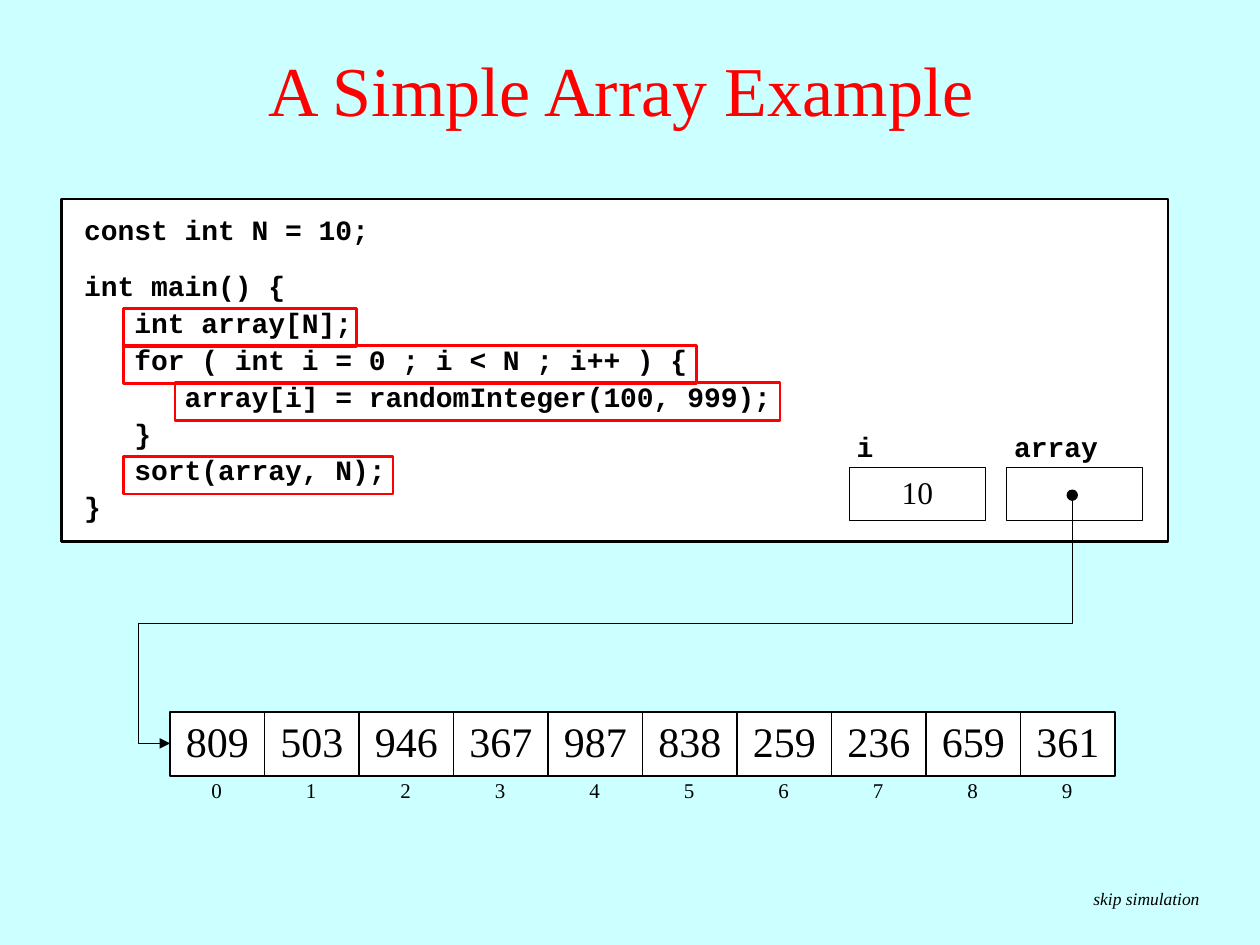
from pptx import Presentation
from pptx import util as u
from pptx.dml.color import RGBColor
from pptx.enum import shapes, text
from pptx.oxml import parse_xml
from pptx.oxml.ns import nsdecls, qn

HUES = {"sky": "CCFFFF", "red": "FF0000", "ink": "000000", "page": "FFFFFF"}
SERIF, MONO = "Times New Roman", "Courier New"
COLS, ROWS, WIDE, HIGH = 100, 75, u.Inches(10), u.Inches(7.5)
MID = text.PP_ALIGN.CENTER
RECT, OVAL = shapes.MSO_SHAPE.RECTANGLE, shapes.MSO_SHAPE.OVAL

CODE = """const int N = 10;
int main() {
   int array[N];
   for ( int i = 0 ; i < N ; i++ ) {
      array[i] = randomInteger(100, 999);
   }
   sort(array, N);
}""".split("\n")
MARKS = [(0, 4.9, 18.5), (1, 4.9, 45.5), (2, 9, 48), (4, 4.9, 21.4)]
DATA = [809, 503, 946, 367, 987, 838, 259, 236, 659, 361]


def hue(name):
    """Return the named colour."""
    return RGBColor.from_string(HUES[name])


def span(box, x, y, w, h):
    """Turn a grid part inside a box into slide lengths."""
    return (int((box[0] + x) * WIDE / COLS), int((box[1] + y) * HIGH / ROWS),
            int(w * WIDE / COLS), int(h * HIGH / ROWS))


def style(para, size, face=SERIF, tint="ink", form=None, **font):
    """Format a paragraph and its font."""
    for key, val in (form or {}).items():
        setattr(para, key, val)
    for key, val in {"size": u.Pt(size), "name": face, **font}.items():
        setattr(para.font, key, val)
    para.font.color.rgb = hue(tint)


def label(slide, area, lines, size, **form):
    """Add a text box with one paragraph per line."""
    frame = slide.shapes.add_textbox(*area).text_frame
    frame.word_wrap = True
    frame.auto_size = text.MSO_AUTO_SIZE.SHAPE_TO_FIT_TEXT
    frame.text = "\n".join(lines)
    for para in frame.paragraphs:
        style(para, size, **form)
    return frame


def block(slide, area, fill=None, line="ink", width=0.75, kind=RECT):
    """Add an outlined shape."""
    shape = slide.shapes.add_shape(kind, *area)
    shape.shadow.inherit = False
    if fill:
        shape.fill.solid()
        shape.fill.fore_color.rgb = hue(fill)
    else:
        shape.fill.background()
    shape.line.color.rgb = hue(line)
    shape.line.width = u.Pt(width)
    return shape


def cell(slide, area, value, size, fill=None):
    """Add a box that holds a centred value."""
    shape = block(slide, area, fill)
    shape.text_frame.text = str(value)
    style(shape.text_frame.paragraphs[0], size,
          form={"alignment": MID, "line_spacing": 0.9})


def heading(slide, box):
    """Place the slide title."""
    title = slide.shapes.title
    title.left, title.top, title.width, title.height = span(box, 0, 0, *box[2:])
    title.text_frame.text = "A Simple Array Example "
    title.text_frame.vertical_anchor = text.MSO_ANCHOR.MIDDLE
    style(title.text_frame.paragraphs[0], 40, tint="red", form={"alignment": MID})


def listing(slide, box):
    """Place the code panel and its marked lines."""
    block(slide, span(box, 0, 0, *box[2:]), "page", width=1.5)
    frame = label(slide, span(box, 0.8, 0.3, 87.1, 26), CODE, 16, face=MONO,
                  bold=True, form={"line_spacing": 1.1})
    frame.paragraphs[1].space_before = u.Pt(11)
    for row, x, w in MARKS:
        block(slide, span(box, x, 8.7 + 2.93 * row, w, 3), line="red", width=1.5)


def memory(slide, box):
    """Place the two variables side by side."""
    for col, (name, value) in enumerate([("i", "10"), ("array", "")]):
        x = 12.5 * col
        label(slide, span(box, x - 0.4, 0, 13.1, 3.7), [name], 16, face=MONO, bold=True)
        cell(slide, span(box, x, 3.5, 10.8, 4.2), value, 18)


def cells(slide, box):
    """Place the array values above their indexes."""
    step = box[2] / len(DATA)
    for num, value in enumerate(DATA):
        cell(slide, span(box, num * step, 0, step, box[3]), value, 24, "page")
        label(slide, span(box, num * step + 0.8, 4.7, 5.8, 3), [str(num)], 12,
              form={"alignment": MID})


def pointer(slide, box):
    """Lead from a dot at top right to an arrowhead at bottom left."""
    wide, high = box[2:]
    block(slide, span(box, wide - 0.4, -0.8, 0.8, 0.8), "ink", kind=OVAL)
    x, y, w, h = span(box, (wide - high) / 2, (high - wide) / 2, high, wide)
    wire = slide.shapes.add_connector(shapes.MSO_CONNECTOR.ELBOW, x, y, x + w, y + h)
    wire.line.color.rgb = hue("ink")
    wire.line.width = u.Pt(0.75)
    props = wire._element.spPr
    props.find(qn("a:xfrm")).set("rot", "5400000")
    geom = props.find(qn("a:prstGeom"))
    geom.set("prst", "bentConnector4")
    for old in list(geom):
        geom.remove(old)
    geom.append(parse_xml(
        f'<a:avLst {nsdecls("a")}><a:gd name="adj1" fmla="val 50700"/>'
        '<a:gd name="adj2" fmla="val 103500"/></a:avLst>'))
    props.find(qn("a:ln")).append(parse_xml(f'<a:tailEnd {nsdecls("a")} type="triangle"/>'))
    props.append(parse_xml(f'<a:effectLst {nsdecls("a")}/>'))


def footer(slide, box):
    """Place the closing note."""
    label(slide, span(box, 0, 0, *box[2:]), ["skip simulation"], 10, italic=True)


def main():
    """Build and save the slide."""
    deck = Presentation()
    deck.slide_width, deck.slide_height = WIDE, HIGH
    slide = deck.slides.add_slide(deck.slide_layouts[5])
    slide.background.fill.solid()
    slide.background.fill.fore_color.rgb = hue("sky")
    heading(slide, (0, 0.8, 100, 12.5))
    cells(slide, (13.5, 56.5, 75, 5.1))
    footer(slide, (85.8, 70, 12.5, 2.7))
    listing(slide, (4.9, 15.8, 87.8, 27.2))
    memory(slide, (67.4, 33.6, 23.3, 7.7))
    pointer(slide, (13.5, 39.7, 71.6, 19.3))
    deck.save("out.pptx")


if __name__ == "__main__":
    main()
